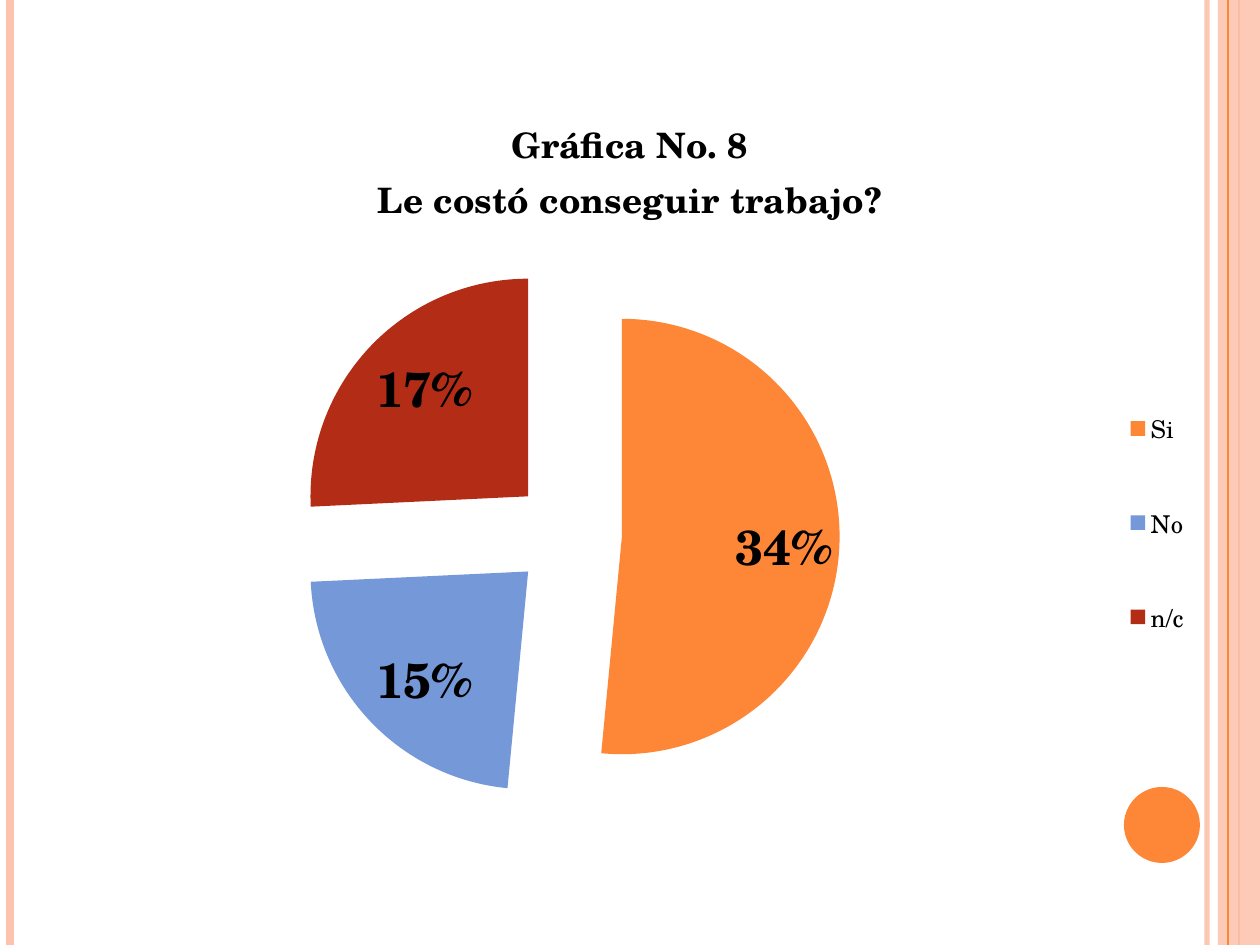
from dataclasses import dataclass

from lxml.etree import SubElement
from pptx import Presentation
from pptx.chart.data import CategoryChartData
from pptx.dml.color import RGBColor
from pptx.enum.chart import XL_CHART_TYPE, XL_LABEL_POSITION, XL_LEGEND_POSITION
from pptx.enum.shapes import MSO_CONNECTOR, MSO_SHAPE
from pptx.oxml import parse_xml
from pptx.oxml.ns import nsdecls, qn
from pptx.util import Emu, Pt

PX = 914400 // 126
WIDTH, HEIGHT = 1260, 945


@dataclass(frozen=True)
class Theme:
    """Colours and type sizes of the slide."""

    font: str = "TeX Gyre Schola"
    text: str = "000000"
    orange: str = "FE8637"
    blue: str = "7598D9"
    red: str = "B32C16"
    pink: str = "FEC3AE"
    body: int = 10
    legend: int = 14
    title: int = 20
    label: int = 28


THEME = Theme()


def px(*lengths):
    """Turn whole pixels into EMU."""
    return [Emu(n * PX) for n in lengths]


def set_font(font, size, bold=False):
    """Apply the theme font at one size."""
    values = {"name": THEME.font, "size": Pt(size), "bold": bold}
    for name, value in values.items():
        setattr(font, name, value)
    font.color.rgb = RGBColor.from_string(THEME.text)


def set_alpha(fill_parent, percent):
    """Make a solid colour partly transparent."""
    color = next(fill_parent.iter(qn("a:srgbClr")))
    SubElement(color, qn("a:alpha"), val=str(percent * 1000))


def add_rule(s, x, color, width, alpha=100):
    """Draw a full-height vertical line."""
    line = s.shapes.add_connector(MSO_CONNECTOR.STRAIGHT, *px(x, 0, x, HEIGHT))
    line.line.color.rgb = RGBColor.from_string(color)
    line.line.width = Pt(width)
    props = line._element.spPr
    if alpha < 100:
        set_alpha(props, alpha)
    SubElement(props, qn("a:effectLst"))


def add_block(s, kind, box, color, alpha=100):
    """Draw a filled shape without outline."""
    sp = s.shapes.add_shape(kind, *px(*box))
    sp.shadow.inherit = False
    sp.fill.solid()
    sp.fill.fore_color.rgb = RGBColor.from_string(color)
    sp.line.fill.background()
    if alpha < 100:
        set_alpha(sp._element.spPr, alpha)


def set_layout(element, x, y, w, h, inner=False):
    """Place a chart part by fractions of the chart area."""
    for old in element.findall(qn("c:layout")):
        element.remove(old)
    target = '<c:layoutTarget val="inner"/>' if inner else ""
    layout = parse_xml(
        f"<c:layout {nsdecls('c')}><c:manualLayout>{target}"
        '<c:xMode val="edge"/><c:yMode val="edge"/>'
        f'<c:x val="{x}"/><c:y val="{y}"/><c:w val="{w}"/><c:h val="{h}"/>'
        "</c:manualLayout></c:layout>"
    )
    if inner:
        element.insert(0, layout)
    else:
        element.find(qn("c:legendPos")).addnext(layout)


def add_title(chart, lines):
    """Write the chart title, one paragraph per line."""
    tf = chart.chart_title.text_frame
    for i, text in enumerate(lines):
        p = tf.paragraphs[0] if i == 0 else tf.add_paragraph()
        r = p.add_run()
        r.text = text
        set_font(r.font, THEME.title, True)


def format_slices(plot, colors, explosion):
    """Colour, pull apart and label the slices."""
    series = plot.series[0]
    for i, color in enumerate(colors):
        fill = series.points[i].format.fill
        fill.solid()
        fill.fore_color.rgb = RGBColor.from_string(color)
    first = series._element.find(qn("c:dPt"))
    first.addprevious(parse_xml(f'<c:explosion {nsdecls("c")} val="{explosion}"/>'))
    labels = series.data_labels
    values = {
        "show_value": True,
        "show_percentage": False,
        "position": XL_LABEL_POSITION.INSIDE_END,
        "number_format": "0%",
        "number_format_is_linked": False,
    }
    for name, value in values.items():
        setattr(labels, name, value)
    set_font(labels.font, THEME.label, True)


def add_pie(s, box, title, answers, colors):
    """Add the exploded pie chart with its title and legend."""
    data = CategoryChartData(number_format="0%")
    data.categories = list(answers)
    data.add_series("Series 1", list(answers.values()))
    chart = s.shapes.add_chart(XL_CHART_TYPE.PIE, *px(*box), data).chart
    set_font(chart.font, THEME.body)
    add_title(chart, title)
    chart.has_legend = True
    legend = chart.legend
    legend.position = XL_LEGEND_POSITION.RIGHT
    legend.include_in_layout = False
    set_font(legend.font, THEME.legend)
    set_layout(legend._element, 0.93, 0.35, 0.07, 0.45)
    plot = chart.plots[0]
    plot.vary_by_categories = True
    set_layout(chart._chartSpace.chart.plotArea, 0.1, 0.23, 0.69, 0.72, inner=True)
    format_slices(plot, colors, 25)


def main():
    """Build and save the slide."""
    prs = Presentation()
    prs.slide_width, prs.slide_height = px(WIDTH, HEIGHT)
    s = prs.slides.add_slide(prs.slide_layouts[6])
    add_rule(s, 1207, THEME.pink, 3, 93)
    add_rule(s, 10, THEME.pink, 4.5)
    add_rule(s, 1239, THEME.orange, 1.5)
    add_block(s, MSO_SHAPE.RECTANGLE, (1218, 0, 42, HEIGHT), THEME.pink, 87)
    add_rule(s, 1228, THEME.orange, 0.75)
    add_block(s, MSO_SHAPE.OVAL, (1124, 787, 76, 76), THEME.orange)
    add_pie(
        s,
        (63, 88, 1134, 756),
        ["Gráfica No. 8", "Le costó conseguir trabajo?"],
        {"Si": 0.34, "No": 0.15, "n/c": 0.17},
        [THEME.orange, THEME.blue, THEME.red],
    )
    prs.save("out.pptx")


if __name__ == "__main__":
    main()
